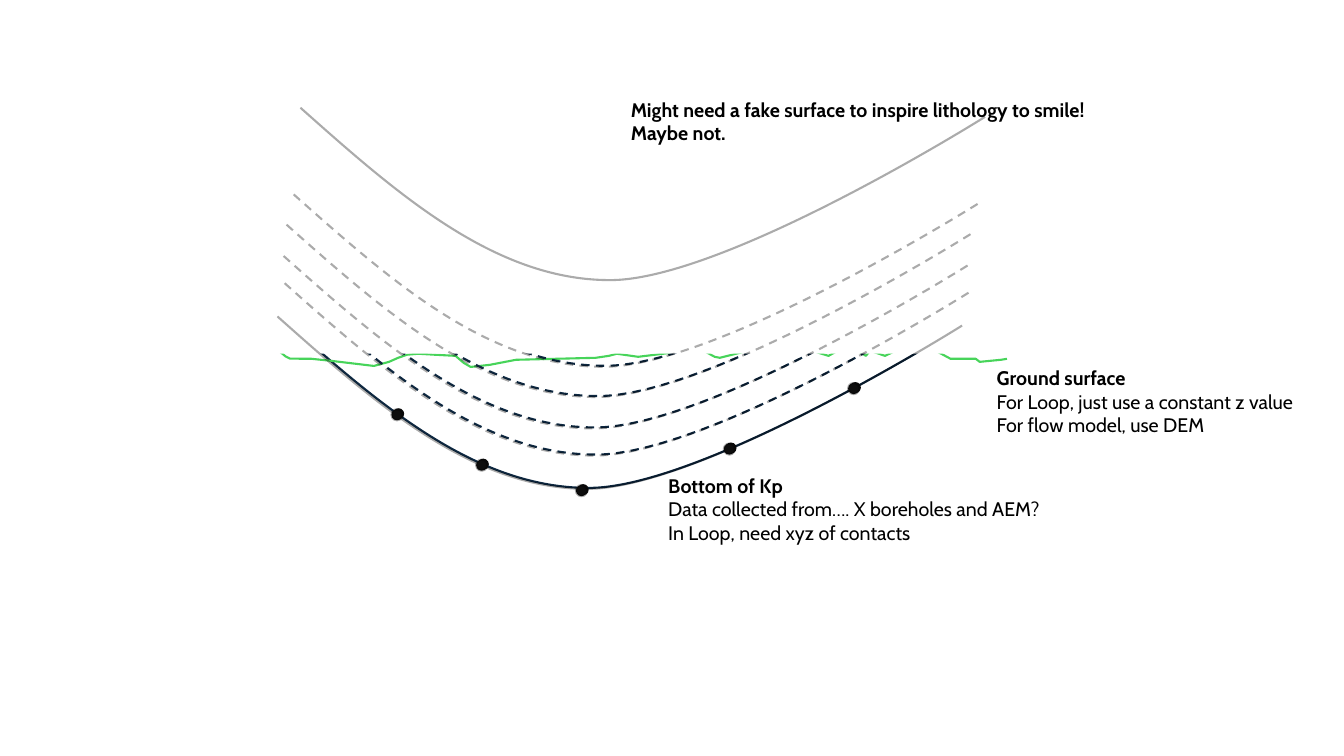
from lxml.etree import SubElement
from pptx import Presentation
from pptx.dml.color import RGBColor
from pptx.enum.dml import MSO_LINE
from pptx.enum.shapes import MSO_SHAPE
from pptx.enum.text import MSO_AUTO_SIZE
from pptx.oxml.ns import qn
from pptx.util import Pt

NAVY = RGBColor(0x0E, 0x28, 0x41)
GREEN = RGBColor(0x47, 0xD4, 0x5A)
INK = RGBColor(0x0D, 0x0D, 0x0D)
BLACK = RGBColor(0, 0, 0)
WHITE = RGBColor(255, 255, 255)

# One fold, relative to its left end: start, then two cubic curves
FOLD = [(0, 0), (68.8, 61.2), (138, 122.4), (219.6, 123.1),
        (301, 124.6), (489, 6.5), (489, 6.5)]
BASE = (199.4, 225.4)
FAKE = (215.8, 76.3)
BEDS = [(205.9, 159.8), (204.5, 201.6), (203.8, 182.2), (211, 138.2)]
DOTS = [(341.3, 327.6), (412.6, 345.8), (518.2, 316.1), (607, 272.9),
        (280.8, 291.6)]
GROUND = [
    (197.3, 249.1), (204, 254.6), (207.2, 256.2), (222.5, 256.3),
    (236.9, 257.8), (267.1, 261.4), (277.9, 258.5), (284.4, 255.6),
    (290.9, 253.4), (298.8, 252.7), (310.3, 253.4), (325.4, 254.2),
    (331.2, 259.2), (336.2, 262.1), (349.9, 260.6), (368.6, 257),
    (425.5, 255.6), (434.9, 254.2), (440.6, 252.7), (455.8, 254.9),
    (479.5, 252), (484.6, 249.8), (504, 251.3), (510.5, 254.9),
    (514.1, 255.6), (531.4, 251.3), (547.9, 244.8), (572.4, 247.7),
    (577.4, 249.1), (584.6, 252), (591.8, 254.2), (598.3, 250.6),
    (601.2, 249.8), (612.7, 250.6), (618.5, 254.2), (621.4, 250.6),
    (625.7, 252), (632.2, 254.2), (650.2, 245.5), (655.9, 243.4),
    (671, 252), (679, 256.3), (697, 256.3), (699.8, 258.5),
    (715, 257), (719.3, 256.3)]


class Sketch:
    font = "Cabin"
    size = Pt(14)
    width = Pt(1.5)

    def __init__(self, slide):
        self.shapes = slide.shapes

    def stroke(self, shape, color, alpha=None, dash=False):
        """Style the outline; alpha is the opacity in percent."""
        line = shape.line
        line.width = self.width
        line.color.rgb = color
        if dash:
            line.dash_style = MSO_LINE.DASH
        if alpha:
            tint = shape.element.spPr.find(qn("a:ln")).find(
                ".//" + qn("a:srgbClr"))
            SubElement(tint, qn("a:alpha"), val=str(alpha * 1000))

    def trace(self, points):
        """Draw an open, unfilled outline through the points."""
        ends = [(Pt(x), Pt(y)) for x, y in points]
        pen = self.shapes.build_freeform(*ends[0])
        pen.add_line_segments(ends[1:], close=False)
        shape = pen.convert_to_shape()
        shape.shadow.inherit = False
        shape.fill.background()
        return shape

    def fold(self, at, color, alpha=None, dash=False):
        """Draw one fold, turning each three line steps into a cubic curve."""
        shape = self.trace([(at[0] + x, at[1] + y) for x, y in FOLD])
        steps = list(shape.element.iter(qn("a:lnTo")))
        for i in range(0, len(steps), 3):
            trio = steps[i:i + 3]
            curve = SubElement(trio[0].getparent(), qn("a:cubicBezTo"))
            for step in trio:
                curve.append(step[0])
                step.getparent().remove(step)
        self.stroke(shape, color, alpha, dash)

    def block(self, kind, box, color):
        shape = self.shapes.add_shape(kind, *map(Pt, box))
        shape.shadow.inherit = False
        shape.fill.solid()
        shape.fill.fore_color.rgb = color
        shape.line.fill.background()
        return shape

    def dot(self, at, alpha=None):
        shape = self.block(MSO_SHAPE.OVAL, (*at, 7.9, 7.9), INK)
        if alpha:
            self.stroke(shape, BLACK, alpha)

    def note(self, box, lines, bold):
        """Write the lines, the first `bold` of them in bold."""
        frame = self.shapes.add_textbox(*map(Pt, box)).text_frame
        frame.word_wrap = False
        frame.auto_size = MSO_AUTO_SIZE.SHAPE_TO_FIT_TEXT
        for i, line in enumerate(lines):
            para = frame.add_paragraph() if i else frame.paragraphs[0]
            run = para.add_run()
            run.text = line
            run.font.name = self.font
            run.font.size = self.size
            run.font.bold = i < bold
            run.font.color.rgb = BLACK


def shift(at):
    return at[0] - 1.2, at[1] + 0.7


def main():
    deck = Presentation()
    deck.slide_width, deck.slide_height = Pt(960), Pt(540)
    art = Sketch(deck.slides.add_slide(deck.slide_layouts[6]))

    art.fold(BASE, NAVY)
    art.stroke(art.trace(GROUND), GREEN)
    art.note((704.9, 257.8, 234.7, 58.3),
             ["Ground surface", "For Loop, just use a constant z value",
              "For flow model, use DEM"], 1)
    art.note((470.2, 334.8, 293.8, 58.3),
             ["Bottom of Kp", "Data collected from…. X boreholes and AEM?",
              "In Loop, need xyz of contacts"], 1)
    for at in DOTS:
        art.dot(at)
    for at in BEDS:
        art.fold(at, NAVY, dash=True)

    # The sky hides all that lies above ground; faint lines go over it
    art.block(MSO_SHAPE.RECTANGLE, (148.3, 54, 615.6, 198.7), WHITE)
    art.note((443.5, 66.2, 358.6, 41),
             ["Might need a fake surface to inspire lithology to smile!",
              "Maybe not."], 2)
    for at in (BASE, FAKE):
        art.fold(shift(at), BLACK, 32)
    for at in DOTS:
        art.dot(shift(at), 32)
    for at in BEDS:
        art.fold(shift(at), BLACK, 32, True)

    deck.save("out.pptx")


if __name__ == "__main__":
    main()
